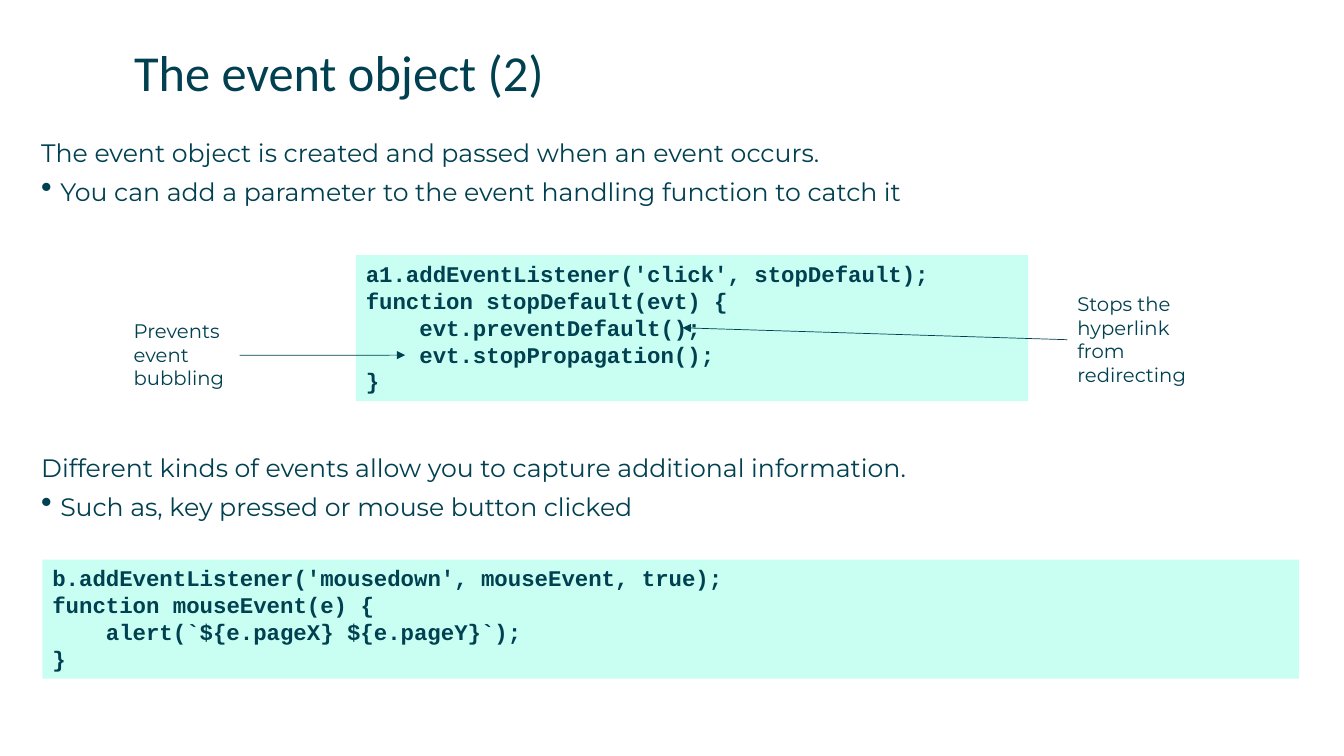
"""Builds the slide on the event object, with two code listings and their notes."""
import lxml.etree
import pptx
import pptx.dml.color
import pptx.enum.shapes
import pptx.enum.text
import pptx.oxml.ns
import pptx.util

Cm = pptx.util.Cm
Pt = pptx.util.Pt
qn = pptx.oxml.ns.qn

COLOURS = {"ink": "004050", "code": "C8FFF2"}


class EventSlide:
    """Holds the style and the current slide."""

    def __init__(self, presentation):
        self.slide = presentation.slides.add_slide(presentation.slide_layouts[6])
        self.shapes = self.slide.shapes

    def colour(self, name):
        """Returns a named colour."""
        return pptx.dml.color.RGBColor.from_string(COLOURS[name])

    def add_words(self, paragraph, words, font, size, bold=False):
        """Adds one styled run."""
        run = paragraph.add_run()
        run.text = words
        run.font.name = font
        run.font.size = Pt(size)
        run.font.bold = bold
        run.font.color.rgb = self.colour("ink")

    def box(self, left, top, width, height, margin=None):
        """Adds a wrapping text box."""
        area = self.shapes.add_textbox(Cm(left), Cm(top), Cm(width), Cm(height))
        frame = area.text_frame
        frame.word_wrap = True
        if margin is not None:
            frame.margin_left = frame.margin_right = Cm(margin)
            frame.margin_top = frame.margin_bottom = Cm(margin)
        return area

    def title(self, words):
        """Adds the slide title."""
        heading = self.box(3.38, 1.04, 29.44, 1.45, 0)
        self.add_words(heading.text_frame.paragraphs[0], words, "Calibri", 36)

    def statement(self, top, lead, detail):
        """Adds a lead sentence with one bullet below it."""
        frame = self.box(1.04, top, 31.75, 2, 0).text_frame
        sentence, bullet = frame.paragraphs[0], frame.add_paragraph()
        for paragraph, words in ((sentence, lead), (bullet, detail)):
            paragraph.space_after = Pt(6.5)
            self.add_words(paragraph, words, "Montserrat", 18)
        properties = bullet._p.get_or_add_pPr()
        properties.set("marL", str(Cm(0.48)))
        properties.set("indent", str(-Cm(0.48)))
        lxml.etree.SubElement(properties, qn("a:buSzPct")).set("val", "125000")
        lxml.etree.SubElement(properties, qn("a:buChar")).set("char", "•")

    def note(self, left, top, width, height, lines):
        """Adds a side note."""
        label = self.box(left, top, width, height)
        label.text_frame.auto_size = pptx.enum.text.MSO_AUTO_SIZE.SHAPE_TO_FIT_TEXT
        paragraph = label.text_frame.paragraphs[0]
        for number, words in enumerate(lines):
            if number:
                paragraph.add_line_break()
            self.add_words(paragraph, words, "Montserrat", 14)
        return label

    def code(self, left, top, width, height, lines):
        """Adds a code panel from pairs of indent level and code line."""
        panel = self.shapes.add_shape(
            pptx.enum.shapes.MSO_SHAPE.RECTANGLE, Cm(left), Cm(top), Cm(width), Cm(height))
        panel.shadow.inherit = False
        panel.fill.solid()
        panel.fill.fore_color.rgb = self.colour("code")
        panel.line.fill.background()
        frame = panel.text_frame
        frame.word_wrap = True
        frame.auto_size = pptx.enum.text.MSO_AUTO_SIZE.SHAPE_TO_FIT_TEXT
        frame.vertical_anchor = pptx.enum.text.MSO_ANCHOR.TOP
        for number, (level, words) in enumerate(lines):
            paragraph = frame.add_paragraph() if number else frame.paragraphs[0]
            paragraph.alignment = pptx.enum.text.PP_ALIGN.LEFT
            paragraph._p.get_or_add_pPr().set("marL", str(Cm(1.35 * level)))
            self.add_words(paragraph, words, "Courier New", 16, True)

    def arrow(self, label, side, x, y):
        """Adds an arrow from the side of a note to a point."""
        pointer = self.shapes.add_connector(
            pptx.enum.shapes.MSO_CONNECTOR.STRAIGHT, label.left, label.top, Cm(x), Cm(y))
        pointer.begin_connect(label, side)
        pointer.line.color.rgb = self.colour("ink")
        pointer.line.width = Pt(0.5)
        outline = pointer.get_or_add_ln()
        lxml.etree.SubElement(outline, qn("a:tailEnd")).set("type", "triangle")
        lxml.etree.SubElement(pointer._element.spPr, qn("a:effectLst"))


def main():
    """Builds and saves the slide."""
    presentation = pptx.Presentation()
    presentation.slide_width = Cm(33.87)
    presentation.slide_height = Cm(19.05)
    page = EventSlide(presentation)

    page.title("The event object (2)")
    page.statement(3.45, "The event object is created and passed when an event occurs.",
                   "You can add a parameter to the event handling function to catch it")
    page.statement(11.39, "Different kinds of events allow you to capture additional information.",
                   "Such as, key pressed or mouse button clicked")
    page.code(1.07, 14.1, 31.67, 3, [
        (0, "b.addEventListener('mousedown', mouseEvent, true);"),
        (0, "function mouseEvent(e) {"),
        (1, "alert(`${e.pageX} ${e.pageY}`);"),
        (0, "}"),
    ])

    redirecting = page.note(26.9, 7.24, 3.78, 2.64, ["Stops the hyperlink from redirecting"])
    bubbling = page.note(3.12, 7.92, 2.92, 2.06, ["Prevents event ", "bubbling"])
    page.code(8.97, 6.43, 16.94, 3.68, [
        (0, "a1.addEventListener('click', stopDefault);"),
        (0, "function stopDefault(evt) {"),
        (1, "evt.preventDefault();"),
        (1, "evt.stopPropagation();"),
        (0, "}"),
    ])
    page.arrow(bubbling, 3, 10.21, 8.95)
    page.arrow(redirecting, 1, 17.2, 8.26)

    presentation.save("out.pptx")


if __name__ == "__main__":
    main()
